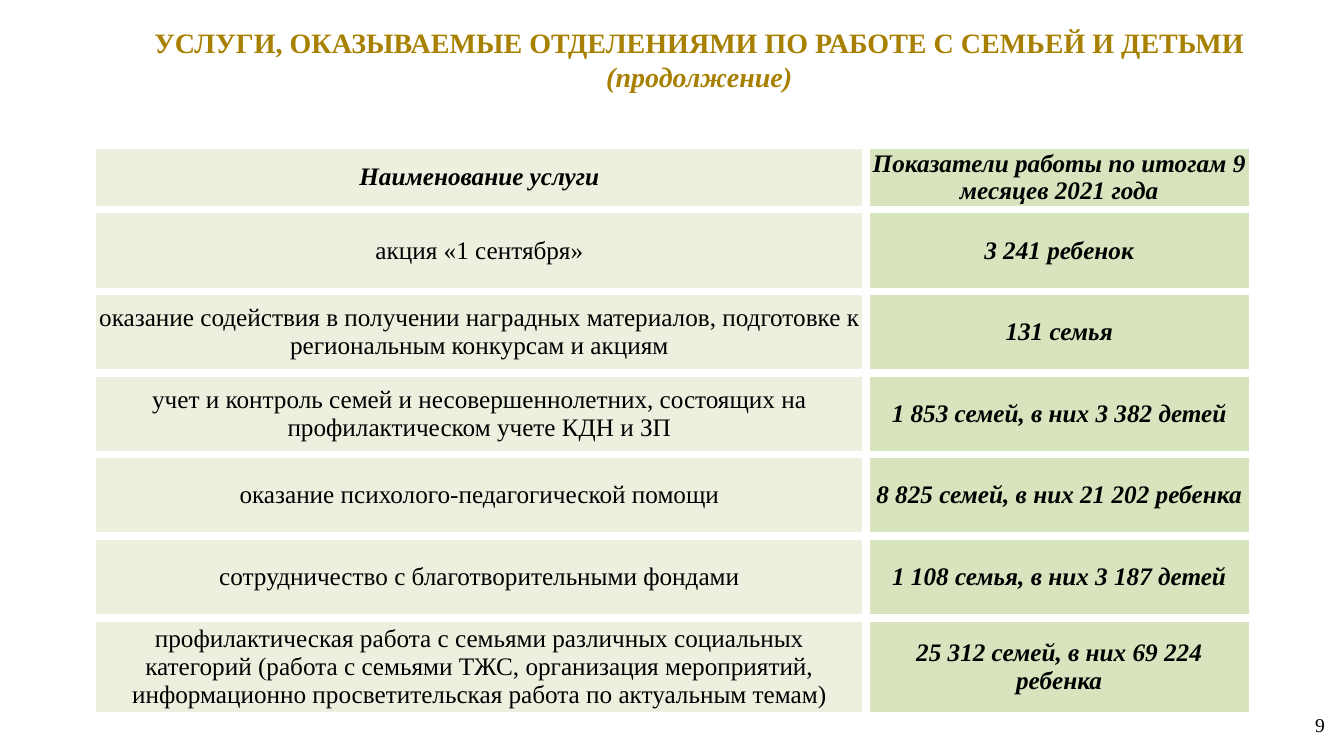
from lxml.etree import SubElement
from pptx import Presentation
from pptx.dml.color import RGBColor
from pptx.enum.text import MSO_ANCHOR, PP_ALIGN
from pptx.oxml.ns import qn
from pptx.util import Inches, Pt

FONT = "Times New Roman"
GOLD = RGBColor(0xA8, 0x80, 0x00)
BLACK = RGBColor(0, 0, 0)
WHITE = RGBColor(0xFF, 0xFF, 0xFF)
PALE = RGBColor(0xEB, 0xF1, 0xDE)
GREEN = RGBColor(0xD7, 0xE4, 0xBD)

TITLE = "УСЛУГИ, ОКАЗЫВАЕМЫЕ ОТДЕЛЕНИЯМИ ПО РАБОТЕ С СЕМЬЕЙ И ДЕТЬМИ "
WIDTHS = [7.67, 3.83]
HEIGHTS = [0.64] + [0.81] * 5 + [0.97]
ROWS = [
    ("Наименование услуги", "Показатели работы по итогам 9 месяцев 2021 года"),
    ("акция «1 сентября»", "3 241 ребенок"),
    ("оказание содействия в получении наградных материалов, подготовке к "
     "региональным конкурсам и акциям", "131 семья"),
    ("учет и контроль семей и несовершеннолетних, состоящих на "
     "профилактическом учете КДН и ЗП", "1 853 семей, в них 3 382 детей"),
    ("оказание психолого-педагогической помощи",
     "8 825 семей, в них 21 202 ребенка"),
    ("сотрудничество с благотворительными фондами",
     "1 108 семья, в них 3 187 детей"),
    ("профилактическая работа с семьями различных социальных категорий "
     "(работа с семьями ТЖС, организация мероприятий, информационно "
     "просветительская работа по актуальным темам)",
     "25 312 семей, в них 69 224 ребенка"),
]


def style(para, size, color, align, bold=False, italic=None):
    """Set the font and alignment of a paragraph."""
    para.alignment = align
    font = para.font
    font.name, font.size = FONT, Pt(size)
    font.bold, font.italic = bold, italic
    font.color.rgb = color


def add_text(slide, left, top, width, height, text):
    """Add a wrapped, vertically centred text box; return its paragraph."""
    box = slide.shapes.add_textbox(
        Inches(left), Inches(top), Inches(width), Inches(height))
    frame = box.text_frame
    frame.word_wrap = True
    frame.vertical_anchor = MSO_ANCHOR.MIDDLE
    para = frame.paragraphs[0]
    para.add_run().text = text
    return para


def add_title(slide):
    """Add the heading with its italic ending."""
    para = add_text(slide, 0.91, 0.15, 12.05, 0.88, TITLE)
    style(para, 20, GOLD, PP_ALIGN.CENTER, bold=True)
    para.line_spacing = Pt(24)
    tail = para.add_run()
    tail.text = "(продолжение)"
    tail.font.italic = True


def set_border(cell, color, width):
    """Draw one line style on all four sides of a cell."""
    props = cell._tc.get_or_add_tcPr()
    for place, side in enumerate("LRTB"):
        line = SubElement(props, qn("a:ln" + side), w=str(Pt(width)))
        fill = SubElement(line, qn("a:solidFill"))
        SubElement(fill, qn("a:srgbClr"), val=str(color))
        props.insert(place, line)


def fill_cell(cell, text, color, strong):
    """Write and format one table cell."""
    cell.text = text
    cell.vertical_anchor = MSO_ANCHOR.MIDDLE
    cell.margin_left = cell.margin_right = Inches(0.06)
    cell.margin_top = cell.margin_bottom = 0
    cell.fill.solid()
    cell.fill.fore_color.rgb = color
    style(cell.text_frame.paragraphs[0], 18, BLACK, PP_ALIGN.CENTER,
          strong, strong)
    set_border(cell, WHITE, 6)


def add_grid(slide):
    """Add the table of services and results."""
    table = slide.shapes.add_table(
        len(ROWS), len(WIDTHS), Inches(0.92), Inches(1.44),
        Inches(sum(WIDTHS)), Inches(sum(HEIGHTS))).table
    for column, width in zip(table.columns, WIDTHS):
        column.width = Inches(width)
    for row, height in zip(table.rows, HEIGHTS):
        row.height = Inches(height)
    for r, (name, result) in enumerate(ROWS):
        fill_cell(table.cell(r, 0), name, PALE, r == 0)
        fill_cell(table.cell(r, 1), result, GREEN, True)


def main():
    """Build and save the slide."""
    deck = Presentation()
    deck.slide_width, deck.slide_height = Inches(13.33), Inches(7.5)
    slide = deck.slides.add_slide(deck.slide_layouts[6])
    add_title(slide)
    add_grid(slide)
    number = add_text(slide, 10.24, 6.99, 3, 0.4, "9")
    style(number, 14, BLACK, PP_ALIGN.RIGHT)
    deck.save("out.pptx")


main()
